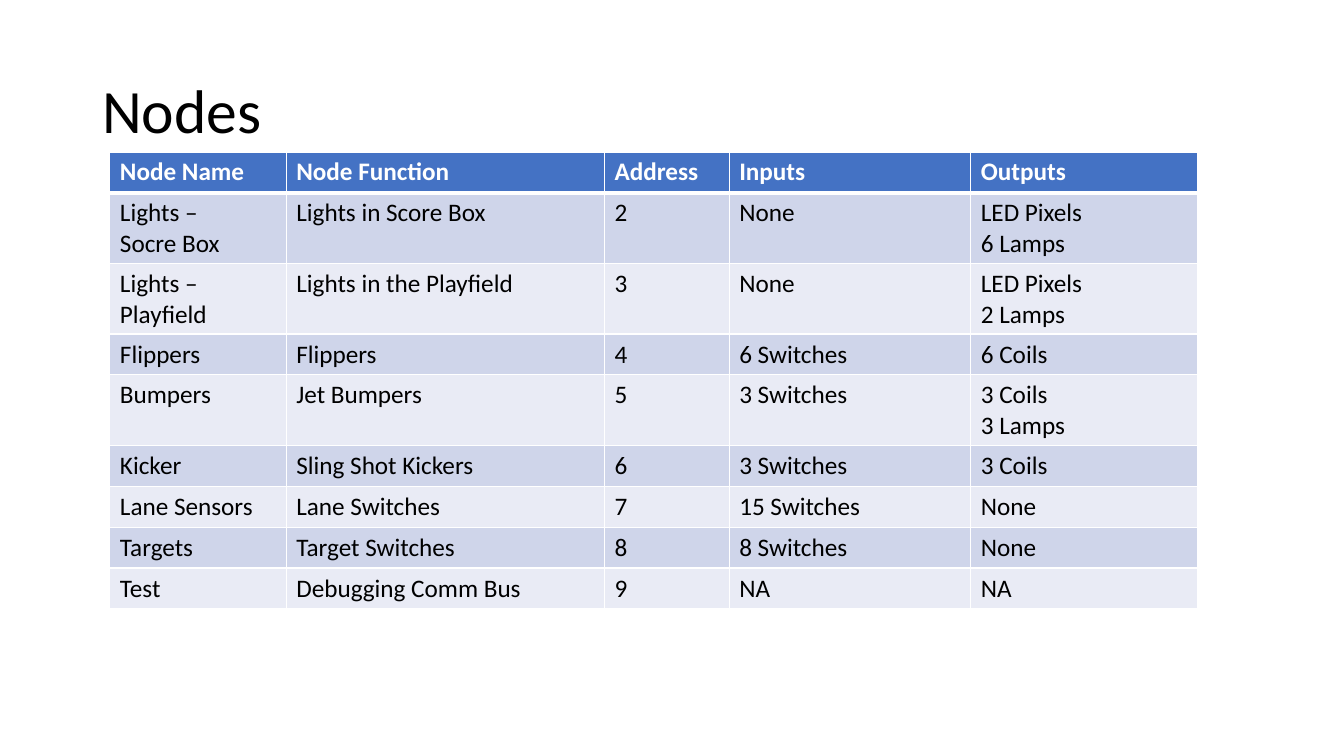
from dataclasses import dataclass

from lxml import etree
from pptx import Presentation
from pptx.dml.color import RGBColor
from pptx.enum.text import MSO_ANCHOR
from pptx.oxml.ns import qn
from pptx.util import Pt

MIDDLE = MSO_ANCHOR.MIDDLE


@dataclass(frozen=True)
class Theme:
    font: str = "Calibri"
    title_size: int = 44
    table_size: int = 18
    ink: str = "000000"
    paper: str = "FFFFFF"
    header: str = "4472C4"
    bands: tuple = ("CFD5EA", "E9EBF5")
    rule: int = 1
    header_rule: int = 3


@dataclass(frozen=True)
class Box:
    left: float
    top: float
    width: float
    height: float

    def lengths(self):
        return Pt(self.left), Pt(self.top), Pt(self.width), Pt(self.height)


THEME = Theme()
PAGE_WIDTH, PAGE_HEIGHT = 960, 540
TITLE_BOX = Box(66, 28.8, 828, 104.4)
TABLE_BOX = Box(78.5, 108.5, 776.7, 262.8)
COLUMN_WIDTHS = (126, 227.3, 89.1, 172.6, 161.7)
NODES = (
    ("Node Name", "Node Function", "Address", "Inputs", "Outputs"),
    ("Lights –\nSocre Box", "Lights in Score Box", "2", "None", "LED Pixels\n6 Lamps"),
    ("Lights – Playfield", "Lights in the Playfield", "3", "None", "LED Pixels\n2 Lamps"),
    ("Flippers", "Flippers", "4", "6 Switches", "6 Coils"),
    ("Bumpers", "Jet Bumpers", "5", "3 Switches", "3 Coils\n3 Lamps"),
    ("Kicker", "Sling Shot Kickers", "6", "3 Switches", "3 Coils"),
    ("Lane Sensors", "Lane Switches", "7", "15 Switches", "None"),
    ("Targets", "Target Switches", "8", "8 Switches", "None"),
    ("Test", "Debugging Comm Bus", "9", "NA", "NA"),
)


def write(frame, text, size, color, bold=False):
    for index, line in enumerate(text.split("\n")):
        para = frame.add_paragraph() if index else frame.paragraphs[0]
        span = para.add_run()
        span.text = line
        span.font.name = THEME.font
        span.font.size = Pt(size)
        span.font.bold = bold
        span.font.color.rgb = RGBColor.from_string(color)


def set_borders(cell, top, bottom):
    properties = cell._tc.get_or_add_tcPr()
    widths = {"a:lnL": THEME.rule, "a:lnR": THEME.rule, "a:lnT": top, "a:lnB": bottom}
    for index, (tag, width) in enumerate(widths.items()):
        line = etree.Element(qn(tag), w=str(Pt(width)))
        fill = etree.SubElement(line, qn("a:solidFill"))
        etree.SubElement(fill, qn("a:srgbClr"), val=THEME.paper)
        properties.insert(index, line)


def add_title(page, box, text):
    frame = page.shapes.add_textbox(*box.lengths()).text_frame
    frame.word_wrap = True
    frame.vertical_anchor = MIDDLE
    write(frame, text, THEME.title_size, THEME.ink)
    frame.paragraphs[0].line_spacing = 0.9


def add_node_table(page, box, rows):
    table = page.shapes.add_table(len(rows), len(COLUMN_WIDTHS), *box.lengths()).table
    for column, width in zip(table.columns, COLUMN_WIDTHS):
        column.width = Pt(width)
    for row_index, row in enumerate(rows):
        table.rows[row_index].height = Pt(box.height / len(rows))
        is_header = row_index == 0
        fill = THEME.header if is_header else THEME.bands[(row_index - 1) % 2]
        color = THEME.paper if is_header else THEME.ink
        top = THEME.header_rule if row_index == 1 else THEME.rule
        bottom = THEME.header_rule if is_header else THEME.rule
        for column_index, text in enumerate(row):
            cell = table.cell(row_index, column_index)
            cell.fill.solid()
            cell.fill.fore_color.rgb = RGBColor.from_string(fill)
            set_borders(cell, top, bottom)
            write(cell.text_frame, text, THEME.table_size, color, is_header)


def main():
    deck = Presentation()
    deck.slide_width, deck.slide_height = Pt(PAGE_WIDTH), Pt(PAGE_HEIGHT)
    page = deck.slides.add_slide(deck.slide_layouts[6])
    add_title(page, TITLE_BOX, "Nodes")
    add_node_table(page, TABLE_BOX, NODES)
    deck.save("out.pptx")


if __name__ == "__main__":
    main()
